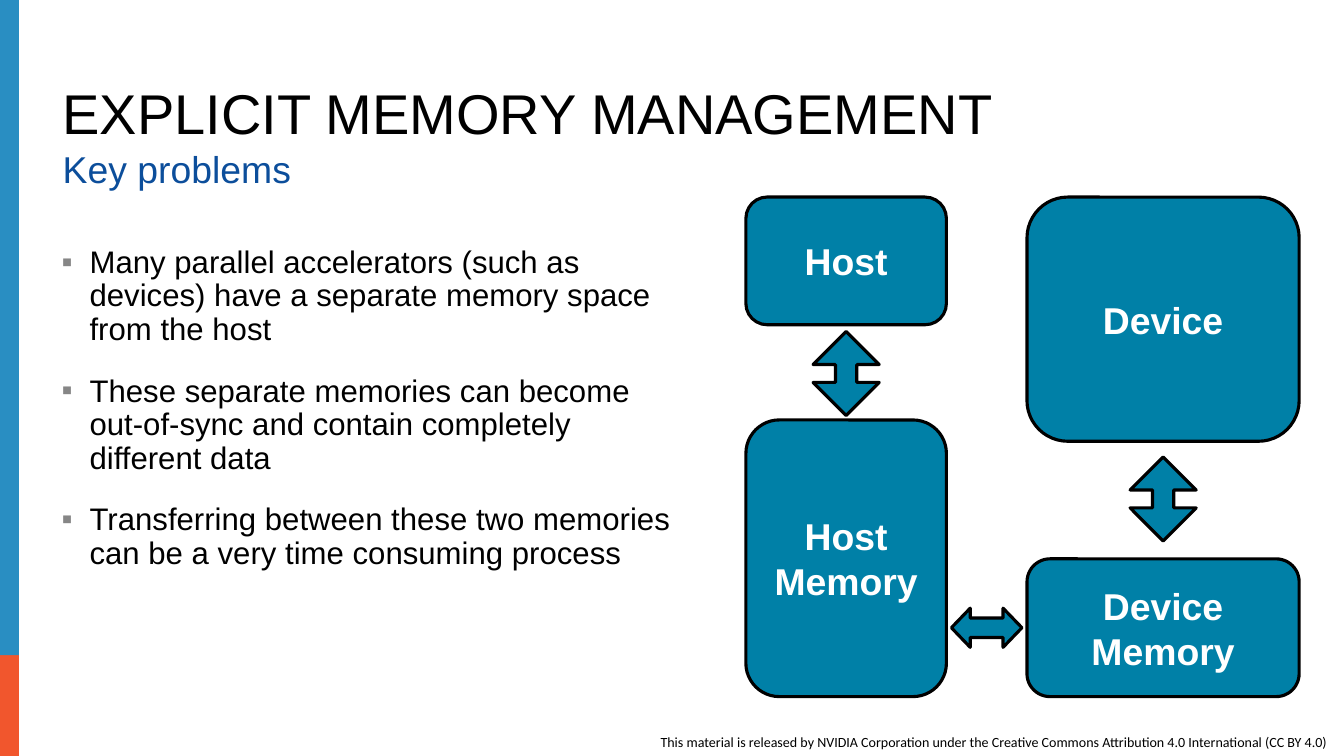
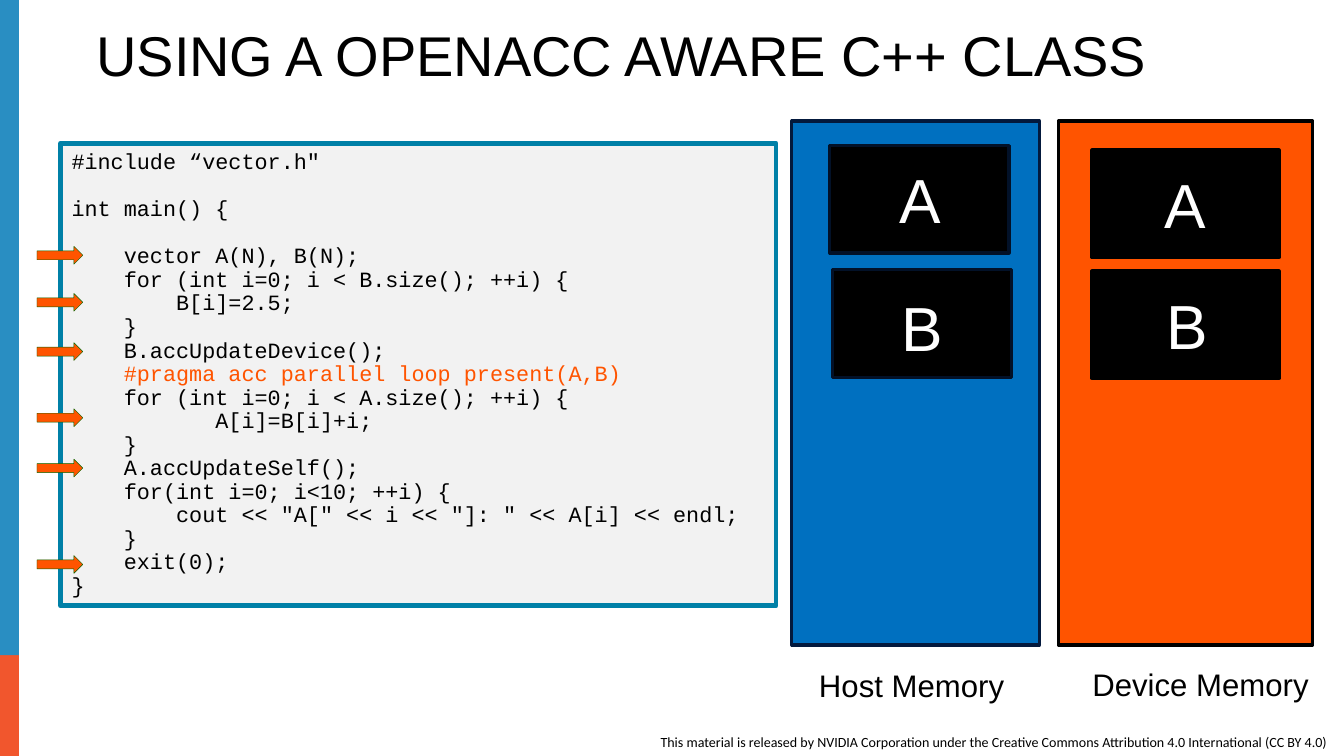
import pptx
import pptx.dml.color
import pptx.enum.shapes
import pptx.enum.text
import pptx.oxml.ns
import pptx.util
from lxml import etree

SHAPE = pptx.enum.shapes.MSO_SHAPE
ALIGN = pptx.enum.text.PP_ALIGN
ANCHOR = pptx.enum.text.MSO_ANCHOR
FIT = pptx.enum.text.MSO_AUTO_SIZE
Pt = pptx.util.Pt
qn = pptx.oxml.ns.qn

COLS, ROWS = 120, 67.5
CELL = pptx.util.Inches(0.1)

BLACK, WHITE, GREY = "000000", "FFFFFF", "868686"
TEAL, ORANGE, NAVY = "0080A7", "FF5400", "0C4E9B"
BAND_BLUE, BAND_ORANGE = "298EC2", "F1562D"

TIGHT = {"line_spacing": 0.9, "space_before": Pt(0), "space_after": Pt(0)}
LOOSE = {"line_spacing": 0.9, "space_before": Pt(9), "space_after": Pt(9)}
CENTRED = {"alignment": ALIGN.CENTER}
TITLE = {"name": "Arial", "size": Pt(36), "bold": False}
SUBTITLE = {"name": "Arial", "size": Pt(24)}
BULLET = {"name": "Arial", "size": Pt(20)}
BOX = {"name": "Arial", "size": Pt(24), "bold": True}
LETTER = {"name": "Arial", "size": Pt(40)}
CODE_FONT = {"name": "Courier New", "size": Pt(14)}
FOOTER_FONT = {"name": "Calibri", "size": Pt(9)}

FOOTER = ("This material is released by NVIDIA Corporation under the Creative "
          "Commons Attribution 4.0 International (CC BY 4.0)")
PROBLEMS = [
    "Many parallel accelerators (such as devices) have a separate memory space from the host",
    "These separate memories can become out-of-sync and contain completely different data",
    "Transferring between these two memories can be a very time consuming process",
]
CODE = '''#include “vector.h"

int main() {

    vector A(N), B(N);
    for (int i=0; i < B.size(); ++i) {
        B[i]=2.5;
    }
    B.accUpdateDevice();
    #pragma acc parallel loop present(A,B)
    for (int i=0; i < A.size(); ++i) {
           A[i]=B[i]+i;
    }
    A.accUpdateSelf();
    for(int i=0; i<10; ++i) {
        cout << "A[" << i << "]: " << A[i] << endl;
    }
    exit(0);
}'''


def rgb(color):
    return pptx.dml.color.RGBColor.from_string(color)


def grid(*cells):
    return [round(c * CELL) for c in cells]


def apply(obj, fmt):
    for key, value in fmt.items():
        setattr(obj, key, value)


def place(sp, at):
    apply(sp, dict(zip(("left", "top", "width", "height"), grid(*at))))


def write(p, text, font, color, para=None):
    apply(p, para or {})
    r = p.add_run()
    r.text = text
    apply(r.font, font)
    r.font.color.rgb = rgb(color)


def add_bullet(p, char, color):
    pPr = p._p.get_or_add_pPr()
    pPr.set("marL", str(round(2.5 * CELL)))
    pPr.set("indent", str(round(-2.5 * CELL)))
    clr = etree.SubElement(pPr, qn("a:buClr"))
    etree.SubElement(clr, qn("a:srgbClr"), val=color)
    etree.SubElement(pPr, qn("a:buFont"), typeface="Arial")
    etree.SubElement(pPr, qn("a:buChar"), char=char)


def remove_bullet(p):
    pPr = p._p.get_or_add_pPr()
    pPr.set("marL", "0")
    pPr.set("indent", "0")
    etree.SubElement(pPr, qn("a:buNone"))


def add_title(s, text, at):
    sp = s.shapes.title
    place(sp, at)
    apply(sp.text_frame, {"vertical_anchor": ANCHOR.BOTTOM, "auto_size": FIT.NONE,
                          "word_wrap": True})
    write(sp.text_frame.paragraphs[0], text, TITLE, BLACK,
          {**TIGHT, "alignment": ALIGN.LEFT})


def add_subtitle(s, sp, text, at):
    place(sp, at)
    sp.text_frame.auto_size = FIT.NONE
    p = sp.text_frame.paragraphs[0]
    remove_bullet(p)
    write(p, text, SUBTITLE, NAVY, {**LOOSE, "space_before": Pt(0)})


def add_bullets(s, sp, items, at):
    place(sp, at)
    tf = sp.text_frame
    tf.auto_size = FIT.NONE
    for i, item in enumerate(items):
        p = tf.add_paragraph() if i else tf.paragraphs[0]
        add_bullet(p, "▪", GREY)
        write(p, item, BULLET, BLACK,
              {**LOOSE, "space_before": Pt(9 if i else 0)})


def add_box(s, kind, at, fill, line=None, width=2, text="", font=BOX, adj=()):
    sp = s.shapes.add_shape(kind, *grid(*at))
    sp.shadow.inherit = False
    sp.fill.solid()
    sp.fill.fore_color.rgb = rgb(fill)
    if line:
        sp.line.color.rgb = rgb(line)
        sp.line.width = Pt(width)
    else:
        sp.line.fill.background()
    for i, value in enumerate(adj):
        sp.adjustments[i] = value
    if text:
        apply(sp.text_frame, {"vertical_anchor": ANCHOR.MIDDLE, "word_wrap": True})
        write(sp.text_frame.paragraphs[0], text, font, WHITE, CENTRED)
    return sp


def add_label(s, text, at, font, color, wrap=False, top=1, para=CENTRED):
    sp = s.shapes.add_textbox(*grid(*at))
    apply(sp.text_frame, {"word_wrap": wrap, "auto_size": FIT.SHAPE_TO_FIT_TEXT,
                          "vertical_anchor": ANCHOR.MIDDLE,
                          "margin_top": round(top * CELL)})
    write(sp.text_frame.paragraphs[0], text, font, color, para)
    return sp


def add_code(s, code, at):
    sp = add_box(s, SHAPE.RECTANGLE, at, "F2F2F2", TEAL, 3)
    tf = sp.text_frame
    apply(tf, {"vertical_anchor": ANCHOR.MIDDLE, "word_wrap": True})
    para = {**TIGHT, "alignment": ALIGN.LEFT}
    for i, line in enumerate(code.split("\n")):
        p = tf.add_paragraph() if i else tf.paragraphs[0]
        if line:
            color = ORANGE if "#pragma" in line else BLACK
            write(p, line, CODE_FONT, color, para)
        else:
            apply(p, para)
            end = etree.SubElement(p._p, qn("a:endParaRPr"), sz="1400")
            etree.SubElement(end, qn("a:latin"), typeface="Courier New")


def furnish_master(prs, s):
    parts = [
        add_label(s, FOOTER, (58, 65, 62, 2.5), FOOTER_FONT, BLACK, top=0.5,
                  para={"alignment": ALIGN.LEFT}),
        add_box(s, SHAPE.RECTANGLE, (0, 50.7, 1.7, ROWS - 50.7), BAND_ORANGE),
        add_box(s, SHAPE.RECTANGLE, (0, 0, 1.7, 58.5), BAND_BLUE),
    ]
    for i, sp in enumerate(parts):
        sp.element.xpath(".//p:cNvPr")[0].set("id", str(100 + i))
        prs.slide_master.shapes.element.append(sp.element)


def add_memory_diagram(s):
    host, device = (66.6, 17.9), (91.7, 24.3)
    boxes = [("Host", host, 17.6, 11.4), ("Device", device, 17.6, 21.8),
             ("Host Memory", host, 37.5, 24.7), ("Device Memory", device, 49.9, 12.3)]
    for text, (left, width), top, height in boxes:
        add_box(s, SHAPE.ROUNDED_RECTANGLE, (left, top, width, height),
                TEAL, BLACK, text=text)
    for (left, width), top in ((host, 29.6), (device, 40.8)):
        add_box(s, SHAPE.UP_DOWN_ARROW, (left + width / 2 - 2.95, top, 5.9, 7.5),
                TEAL, BLACK, adj=(0.5, 0.323))
    middle = (sum(host) + device[0]) / 2
    add_box(s, SHAPE.LEFT_RIGHT_ARROW, (middle - 3.15, 54.3, 6.3, 3.5),
            TEAL, BLACK, adj=(0.5, 0.481))


def add_memory_panels(s):
    add_box(s, SHAPE.RECTANGLE, (70.7, 10.8, 22.1, 46.8), "0070C0", "03193D")
    for left, top in ((74.1, 13), (74.3, 24.1)):
        add_box(s, SHAPE.RECTANGLE, (left, top, 16, 9.6), BLACK, "021128")
    add_box(s, SHAPE.RECTANGLE, (94.5, 10.8, 22.7, 46.8), ORANGE, BLACK)
    for top, text in ((13.4, "A"), (24.2, "")):
        add_box(s, SHAPE.RECTANGLE, (97.5, top, 16.7, 9.6), BLACK, BLACK,
                text=text, font=LETTER)
    add_label(s, "A", (79.3, 13.9, 5.8, 7.7), LETTER, WHITE, top=0.5)
    for left, top in ((79.5, 24.8), (103.2, 24.6)):
        add_label(s, "B", (left, top, 5.2, 8.2), LETTER, WHITE)
    for text, left, top in (("Host Memory", 70.1, 58.5), ("Device Memory", 95.9, 58.4)):
        add_label(s, text, (left, top, 22.6, 4.9), BULLET, BLACK, wrap=True)


def build_problems(prs):
    s = prs.slides.add_slide(prs.slide_layouts[3])
    furnish_master(prs, s)
    add_title(s, "EXPLICIT MEMORY MANAGEMENT", (4.6, 7.1, 109.1, 6.5))
    add_bullets(s, s.placeholders[1], PROBLEMS, (4.5, 21.5, 56.5, 40.7))
    add_subtitle(s, s.placeholders[2], "Key problems", (4.6, 13, 109.1, 5.7))
    add_memory_diagram(s)


def build_class_example(prs):
    s = prs.slides.add_slide(prs.slide_layouts[5])
    add_title(s, "USING A OPENACC AWARE C++ CLASS", (7.6, 1.9, 104.2, 6.5))
    add_code(s, CODE, (5.4, 12.8, 63.9, 41.3))
    add_memory_panels(s)
    for top in (22, 26.2, 30.6, 36.5, 41, 49.6):
        add_box(s, SHAPE.RIGHT_ARROW, (3.3, top, 4.1, 1.6), ORANGE, "006600", 0.25)


def main():
    prs = pptx.Presentation()
    prs.slide_width, prs.slide_height = grid(COLS, ROWS)
    build_problems(prs)
    build_class_example(prs)
    prs.save("out.pptx")


if __name__ == "__main__":
    main()
